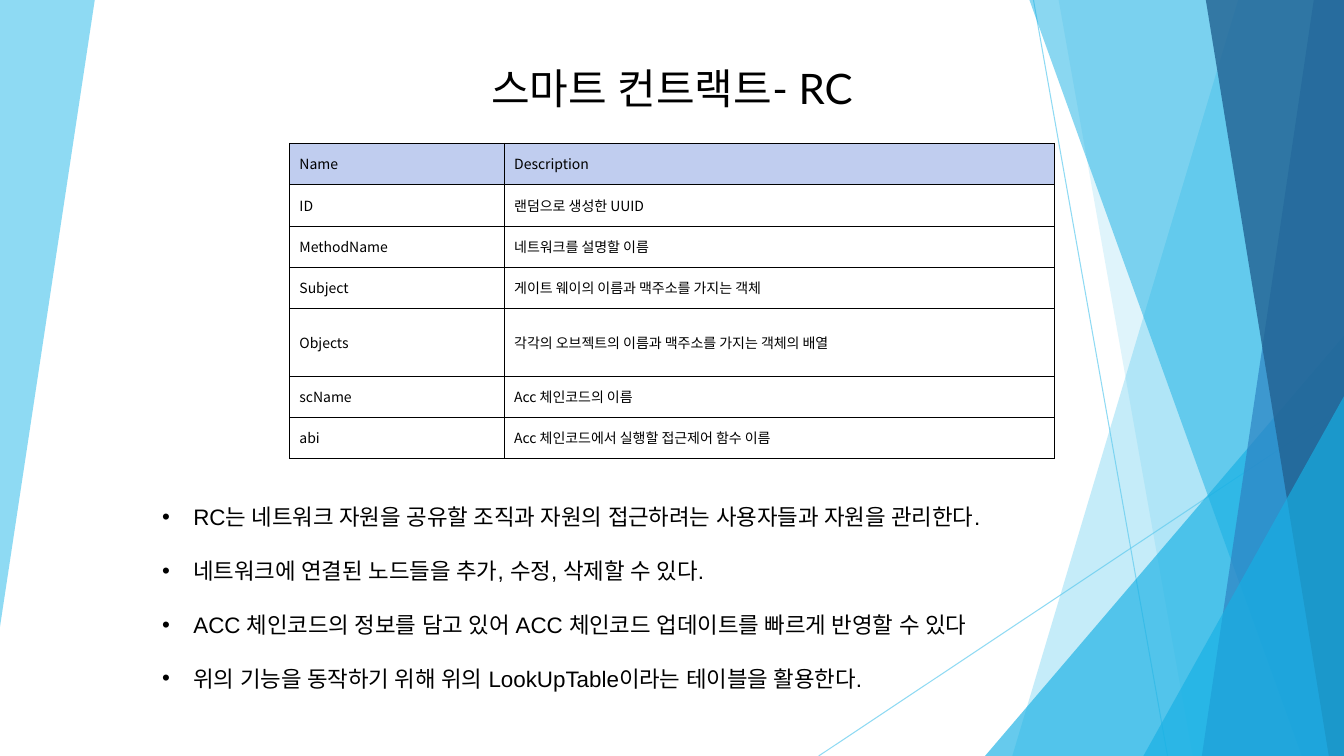
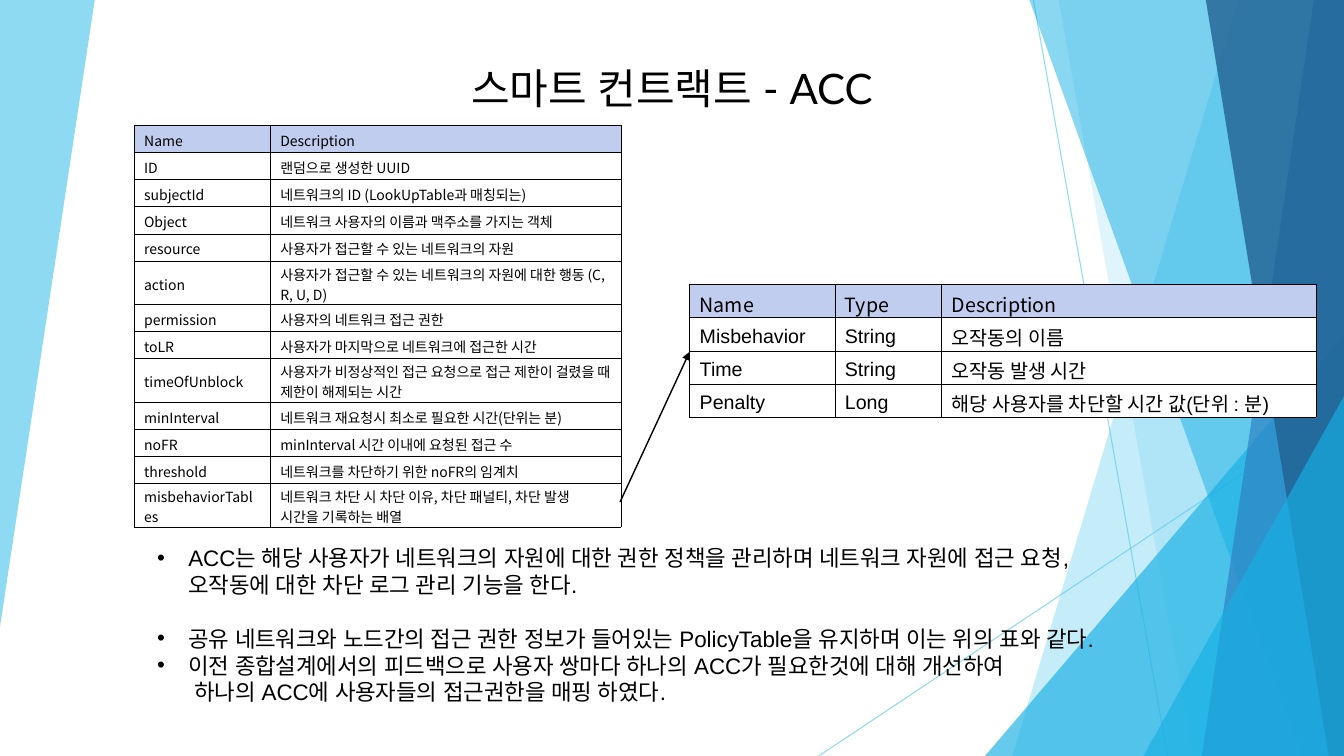
from dataclasses import dataclass

from lxml import etree
from pptx import Presentation
from pptx.dml.color import RGBColor
from pptx.enum.shapes import MSO_CONNECTOR, MSO_SHAPE
from pptx.enum.text import MSO_ANCHOR, PP_ALIGN
from pptx.oxml.ns import qn
from pptx.util import Inches, Pt

STRAIGHT = MSO_CONNECTOR.STRAIGHT
TRIANGLE = MSO_SHAPE.ISOSCELES_TRIANGLE
MIDDLE = MSO_ANCHOR.MIDDLE
LEFT, CENTER = PP_ALIGN.LEFT, PP_ALIGN.CENTER

WIDTH, HEIGHT = 13.33, 7.5
SKY, CYAN, BLUE, NAVY = "5FCBEF", "17B0E4", "2E83C3", "226292"
BLACK, WHITE, HEADER = "000000", "FFFFFF", "C0CDEF"
TITLE_FONT, BODY_FONT, TABLE_FONT = "Lato", "Arial", "Noto Sans CJK KR"
HANG = 0.31


@dataclass
class Facet:
    points: list[tuple[float, float]]
    color: str
    alpha: int


@dataclass
class Corner:
    left: float
    top: float
    color: str = CYAN
    alpha: int = 66


@dataclass
class Ray:
    start: tuple[float, float]
    end: tuple[float, float]


@dataclass
class Bullet:
    text: str
    spacing: float = 1.0
    mark: bool = True
    indent: float = HANG


@dataclass
class Grid:
    left: float
    top: float
    cols: list[float]
    heights: list[float]
    rows: list[tuple[str, ...]]
    size: int = 10
    body_font: str = TABLE_FONT
    body_fill: str | None = None
    margin_top: float = 0.05
    margin_bottom: float = 0.05


def band(top_x: float, bottom_x: float, color: str, alpha: int) -> Facet:
    return Facet([(top_x, 0), (WIDTH, 0), (WIDTH, HEIGHT), (bottom_x, HEIGHT)], color, alpha)


DECOR = [
    Facet([(0, 0), (0.94, 0), (0, 6.22)], SKY, 70),
    Ray((10.25, 0), (11.58, HEIGHT)),
    Ray((WIDTH, 4.03), (8.12, HEIGHT)),
    band(12.28, 10.04, SKY, 36),
    band(10.5, 11.83, SKY, 20),
    Corner(9.77, 3.33),
    band(10.21, 12.91, CYAN, 50),
    band(13.03, 11.92, BLUE, 70),
    band(11.96, 13.18, NAVY, 80),
    Corner(11.34, 3.93),
]


def rgb(value: str) -> RGBColor:
    return RGBColor.from_string(value)


def set_alpha(shape, alpha: int) -> None:
    for color in shape.element.spPr.iter(qn("a:srgbClr")):
        etree.SubElement(color, qn("a:alpha"), val=str(alpha * 1000))


def paint(shape, color: str, alpha: int) -> None:
    shape.shadow.inherit = False
    shape.fill.solid()
    shape.fill.fore_color.rgb = rgb(color)
    shape.line.fill.background()
    set_alpha(shape, alpha)


def add_line(s, start: tuple[float, float], end: tuple[float, float], color: str, width: float):
    line = s.shapes.add_connector(STRAIGHT, *[Inches(v) for v in (*start, *end)])
    line.line.color.rgb = rgb(color)
    line.line.width = Pt(width)
    etree.SubElement(line.element.spPr, qn("a:effectLst"))
    return line


def add_arrow(s, start: tuple[float, float], end: tuple[float, float]) -> None:
    line = add_line(s, start, end, BLACK, 1)
    etree.SubElement(line.element.spPr.find(qn("a:ln")), qn("a:tailEnd"), type="triangle")


def draw_decor(s) -> None:
    for item in DECOR:
        if isinstance(item, Ray):
            set_alpha(add_line(s, item.start, item.end, SKY, 0.75), 70)
        elif isinstance(item, Corner):
            sp = s.shapes.add_shape(TRIANGLE, Inches(item.left), Inches(item.top),
                                    Inches(WIDTH - item.left), Inches(HEIGHT - item.top))
            sp.adjustments[0] = 1.0
            paint(sp, item.color, item.alpha)
        else:
            points = [(Inches(x), Inches(y)) for x, y in item.points]
            builder = s.shapes.build_freeform(*points[0])
            builder.add_line_segments(points[1:], close=True)
            paint(builder.convert_to_shape(), item.color, item.alpha)


def write(p, text: str, *, size: float, font: str, east: str, color: str = BLACK,
          align: PP_ALIGN = LEFT, spacing: float = 1.0) -> None:
    p.alignment = align
    p.line_spacing = spacing
    for i, part in enumerate(text.split("\n")):
        if i:
            p.add_line_break()
        r = p.add_run()
        r.text = part
        r.font.size = Pt(size)
        r.font.name = font
        r.font.color.rgb = rgb(color)
        etree.SubElement(r.font._element, qn("a:ea"), typeface=east)


def add_box(s, left: float, top: float, width: float, height: float):
    box = s.shapes.add_textbox(Inches(left), Inches(top), Inches(width), Inches(height))
    box.text_frame.word_wrap = True
    return box.text_frame


def add_bullets(s, left: float, top: float, height: float, bullets: list[Bullet]) -> None:
    tf = add_box(s, left, top, 10.75, height)
    for i, bullet in enumerate(bullets):
        p = tf.add_paragraph() if i else tf.paragraphs[0]
        write(p, bullet.text, size=16, font=BODY_FONT, east=TITLE_FONT, spacing=bullet.spacing)
        pPr = p._p.get_or_add_pPr()
        pPr.set("marL", str(Inches(bullet.indent)))
        if bullet.mark:
            pPr.set("indent", str(-Inches(bullet.indent)))
            etree.SubElement(pPr, qn("a:buFont"), typeface=BODY_FONT)
            etree.SubElement(pPr, qn("a:buChar"), char="•")


def add_borders(cell) -> None:
    tcPr = cell._tc.get_or_add_tcPr()
    for side in "LRTB":
        ln = etree.SubElement(tcPr, qn(f"a:ln{side}"), w=str(Pt(0.33)))
        fill = etree.SubElement(ln, qn("a:solidFill"))
        etree.SubElement(fill, qn("a:srgbClr"), val=BLACK)


def add_grid(s, grid: Grid) -> None:
    frame = s.shapes.add_table(len(grid.rows), len(grid.cols), Inches(grid.left), Inches(grid.top),
                               Inches(sum(grid.cols)), Inches(sum(grid.heights)))
    table = frame.table
    table.first_row = table.horz_banding = False
    for column, width in zip(table.columns, grid.cols):
        column.width = Inches(width)
    for i, (row, height, texts) in enumerate(zip(table.rows, grid.heights, grid.rows)):
        row.height = Inches(height)
        fill = grid.body_fill if i else HEADER
        for cell, text in zip(row.cells, texts):
            cell.vertical_anchor = MIDDLE
            cell.margin_top = Inches(grid.margin_top)
            cell.margin_bottom = Inches(grid.margin_bottom)
            add_borders(cell)
            if fill:
                cell.fill.solid()
                cell.fill.fore_color.rgb = rgb(fill)
            else:
                cell.fill.background()
            write(cell.text_frame.paragraphs[0], text, size=grid.size,
                  font=grid.body_font if i else TABLE_FONT, east=TABLE_FONT)


def add_slide(prs, title: str):
    s = prs.slides.add_slide(prs.slide_layouts[6])
    draw_decor(s)
    tf = add_box(s, 0, 0.57, WIDTH, 0.61)
    write(tf.paragraphs[0], title, size=30, font=TITLE_FONT, east=TITLE_FONT, align=CENTER)
    return s


def build_rc(prs) -> None:
    s = add_slide(prs, "스마트 컨트랙트- RC")
    add_bullets(s, 1.51, 4.68, 2.16, [Bullet(text, 2.0) for text in (
        "RC는 네트워크 자원을 공유할 조직과 자원의 접근하려는 사용자들과 자원을 관리한다.",
        "네트워크에 연결된 노드들을 추가, 수정, 삭제할 수 있다.",
        "ACC 체인코드의 정보를 담고 있어 ACC 체인코드 업데이트를 빠르게 반영할 수 있다",
        "위의 기능을 동작하기 위해 위의 LookUpTable이라는 테이블을 활용한다.",
    )])
    add_grid(s, Grid(2.87, 1.42, [2.13, 5.46], [0.41] * 4 + [0.67] + [0.41] * 2, [
        ("Name", "Description"),
        ("ID", "랜덤으로 생성한 UUID"),
        ("MethodName", "네트워크를 설명할 이름"),
        ("Subject", "게이트 웨이의 이름과 맥주소를 가지는 객체"),
        ("Objects", "각각의 오브젝트의 이름과 맥주소를 가지는 객체의 배열"),
        ("scName", "Acc 체인코드의 이름"),
        ("abi", "Acc 체인코드에서 실행할 접근제어 함수 이름"),
    ]))


def build_acc(prs) -> None:
    s = add_slide(prs, "스마트 컨트랙트 - ACC")
    add_bullets(s, 1.46, 5.35, 1.72, [
        Bullet("ACC는 해당 사용자가 네트워크의 자원에 대한 권한 정책을 관리하며 네트워크 자원에 접근 요청,\n"
               "오작동에 대한 차단 로그 관리 기능을 한다."),
        Bullet("공유 네트워크와 노드간의 접근 권한 정보가 들어있는 PolicyTable을 유지하며 이는 위의 표와 같다.", 2.0),
        Bullet("이전 종합설계에서의 피드백으로 사용자 쌍마다 하나의 ACC가 필요한것에 대해 개선하여"),
        Bullet("하나의 ACC에 사용자들의 접근권한을 매핑 하였다.", mark=False, indent=0.37),
    ])
    single, double = 0.27, 0.43
    heights = [single] * 5 + [double] + [single] * 2 + [double] + [single] * 3 + [double]
    add_grid(s, Grid(1.33, 1.24, [1.35, 3.48], heights, [
        ("Name", "Description"),
        ("ID", "랜덤으로 생성한 UUID"),
        ("subjectId", "네트워크의 ID (LookUpTable과 매칭되는)"),
        ("Object", "네트워크 사용자의 이름과 맥주소를 가지는 객체"),
        ("resource", "사용자가 접근할 수 있는 네트워크의 자원"),
        ("action", "사용자가 접근할 수 있는 네트워크의 자원에 대한 행동 (C, R, U, D)"),
        ("permission", "사용자의 네트워크 접근 권한"),
        ("toLR", "사용자가 마지막으로 네트워크에 접근한 시간"),
        ("timeOfUnblock", "사용자가 비정상적인 접근 요청으로 접근 제한이 걸렸을 때 제한이 해제되는 시간"),
        ("minInterval", "네트워크 재요청시 최소로 필요한 시간(단위는 분)"),
        ("noFR", "minInterval 시간 이내에 요청된 접근 수"),
        ("threshold", "네트워크를 차단하기 위한 noFR의 임계치"),
        ("misbehaviorTables", "네트워크 차단 시 차단 이유, 차단 패널티, 차단 발생 시간을 기록하는 배열"),
    ], margin_top=0.03, margin_bottom=0))
    add_grid(s, Grid(6.84, 2.82, [1.44, 1.06, 3.71], [0.33] * 4, [
        ("Name", "Type", "Description"),
        ("Misbehavior", "String", "오작동의 이름"),
        ("Time", "String", "오작동 발생 시간"),
        ("Penalty", "Long", "해당 사용자를 차단할 시간 값(단위 : 분)"),
    ], size=14, body_font=BODY_FONT, body_fill=WHITE, margin_bottom=0))
    add_arrow(s, (6.15, 4.98), (6.84, 3.49))


def main() -> None:
    prs = Presentation()
    prs.slide_width, prs.slide_height = Inches(WIDTH), Inches(HEIGHT)
    build_rc(prs)
    build_acc(prs)
    prs.save("out.pptx")


if __name__ == "__main__":
    main()
